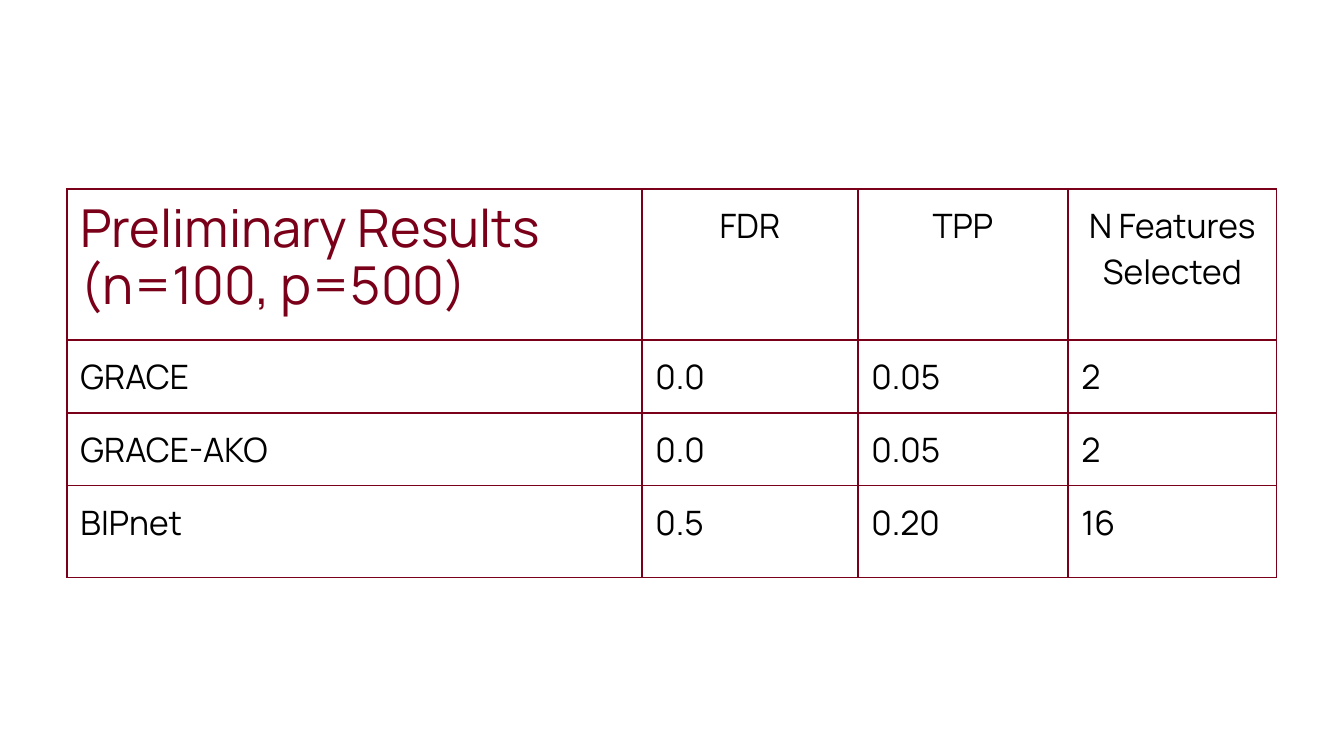
from lxml import etree
from pptx import Presentation
from pptx import util as u
from pptx.dml.color import RGBColor
from pptx.enum import text
from pptx.oxml import ns

SCALE = 914400 / 134.4
FONT = "Manrope"
MAROON = "7A0019"
BLACK = "000000"
COLUMN_WIDTHS = [575, 216, 210, 209]
ROW_HEIGHTS = [151, 73, 72, 92]
RESULTS = [
    ["", "FDR", "TPP", "N Features Selected"],
    ["GRACE", "0.0", "0.05", "2"],
    ["GRACE-AKO", "0.0", "0.05", "2"],
    ["BIPnet", "0.5", "0.20", "16"],
]


def px(length):
    """Turn pixels into EMU."""
    return u.Emu(round(length * SCALE))


def color(value):
    """Turn a hex string into a colour."""
    return RGBColor.from_string(value)


def set_margins(holder):
    """Give a cell or text frame equal margins."""
    for side in ("left", "top", "right", "bottom"):
        setattr(holder, f"margin_{side}", u.Inches(0.1))


def style_paragraph(paragraph, size, value):
    """Set the font of a paragraph."""
    font = paragraph.font
    font.name, font.size = FONT, u.Pt(size)
    font.color.rgb = color(value)


def add_borders(cell, value):
    """Draw a thin line on each side of a cell."""
    properties = cell._tc.get_or_add_tcPr()
    for index, side in enumerate(("lnL", "lnR", "lnT", "lnB")):
        line = etree.Element(ns.qn(f"a:{side}"), w=str(u.Pt(0.75)))
        fill = etree.SubElement(line, ns.qn("a:solidFill"))
        etree.SubElement(fill, ns.qn("a:srgbClr"), val=value)
        properties.insert(index, line)


def add_results_table(slide, left, top):
    """Place the table of results with its upper left corner at a point."""
    table = slide.shapes.add_table(
        len(ROW_HEIGHTS), len(COLUMN_WIDTHS), px(left), px(top),
        px(sum(COLUMN_WIDTHS)), px(sum(ROW_HEIGHTS))).table
    table.first_row = table.horz_banding = False
    for column, width in zip(table.columns, COLUMN_WIDTHS):
        column.width = px(width)
    for row, height, values in zip(table.rows, ROW_HEIGHTS, RESULTS):
        row.height = px(height)
        for cell, value in zip(row.cells, values):
            cell.text = value
            cell.fill.background()
            set_margins(cell)
            add_borders(cell, MAROON)
            paragraph = cell.text_frame.paragraphs[0]
            style_paragraph(paragraph, 18, BLACK)
            if values is RESULTS[0]:
                paragraph.alignment = text.PP_ALIGN.CENTER


def add_title(slide, left, top, width, height):
    """Place the title in the given box."""
    frame = slide.shapes.add_textbox(
        px(left), px(top), px(width), px(height)).text_frame
    frame.word_wrap = True
    frame.vertical_anchor = text.MSO_ANCHOR.TOP
    set_margins(frame)
    paragraph = frame.paragraphs[0]
    paragraph.text = "Preliminary Results (n=100, p=500)"
    paragraph.line_spacing = 0.9
    style_paragraph(paragraph, 28, MAROON)


def main():
    """Build and save the slide."""
    presentation = Presentation()
    presentation.slide_width, presentation.slide_height = px(1344), px(756)
    slide = presentation.slides.add_slide(presentation.slide_layouts[6])
    add_results_table(slide, 67, 189)
    add_title(slide, 67, 189, COLUMN_WIDTHS[0], 146)
    presentation.save("out.pptx")


if __name__ == "__main__":
    main()
